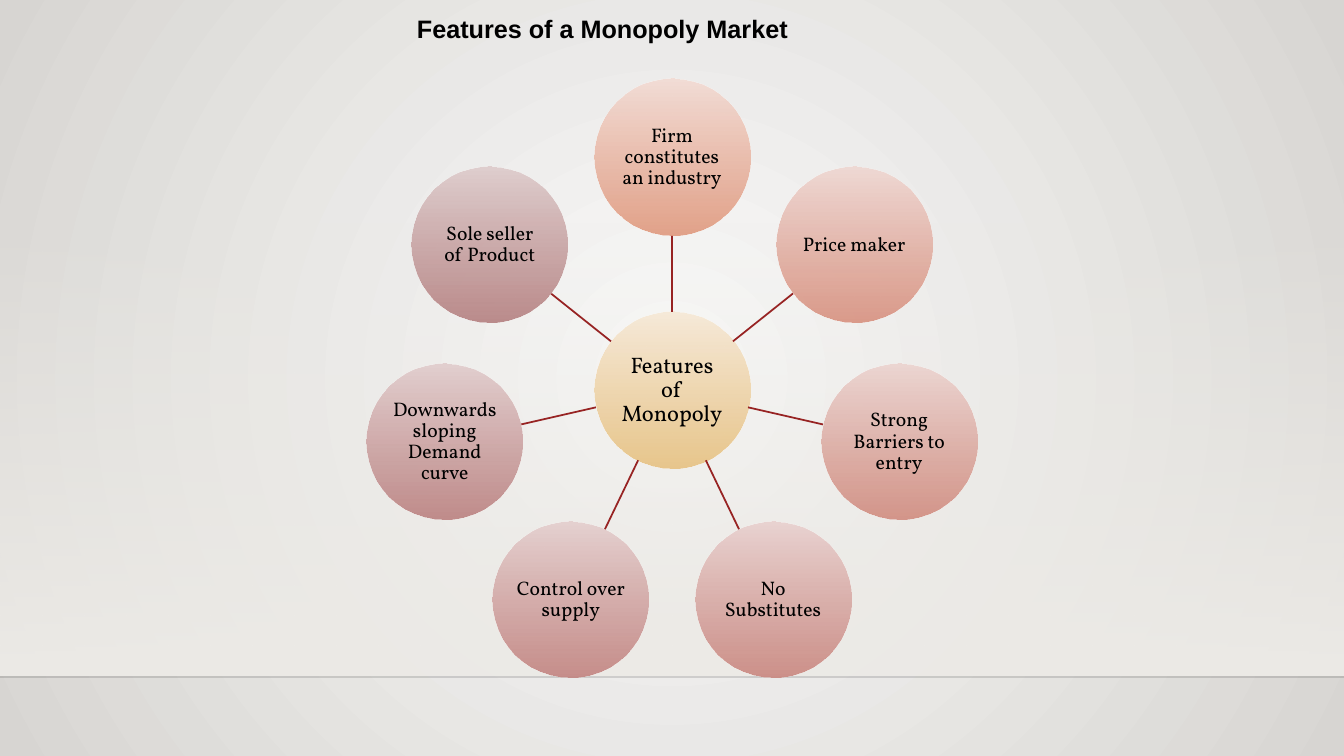
from math import cos, pi, sin

from lxml.etree import SubElement
from pptx import Presentation
from pptx.dml.color import RGBColor
from pptx.enum.shapes import MSO_CONNECTOR, MSO_SHAPE
from pptx.enum.text import MSO_ANCHOR, PP_ALIGN
from pptx.oxml.ns import qn
from pptx.util import Emu, Pt

SCALE = 914400 / 100.8
WIDE, HIGH = 1344, 756
MID_X, MID_Y = 672, 390
ORBIT, DISC = 233, 156
NODES = [
    ("Firm constitutes an industry", "F3DDD6", "E19C82"),
    ("Price maker", "EFD9D4", "D99483"),
    ("Strong Barriers to entry", "ECD6D2", "D28F83"),
    ("No Substitutes", "E9D3D1", "CB8A83"),
    ("Control over supply", "E5D1D0", "C48784"),
    ("Downwards sloping Demand curve", "E2CFCF", "BD8584"),
    ("Sole seller of Product", "DFCECE", "B78484"),
]


def px(*vals):
    return [Emu(round(val * SCALE)) for val in vals]


def color(code):
    return RGBColor.from_string(code)


def apply(item, form):
    for key, val in form.items():
        setattr(item, key, val)


def fade(root, *alphas):
    for node, alpha in zip(root.iter(qn("a:srgbClr")), alphas):
        SubElement(node, qn("a:alpha"), val=str(alpha * 1000))


def blend(fill, top, end):
    fill.gradient()
    for stop, code in zip(fill.gradient_stops, (top, end)):
        stop.color.rgb = color(code)


def set_back(slide):
    blend(slide.background.fill, "FAFAF9", "D7D5D2")
    grad = next(slide._element.iter(qn("a:gradFill")))
    grad.remove(grad.find(qn("a:lin")))
    ring = SubElement(grad, qn("a:path"), path="circle")
    SubElement(ring, qn("a:fillToRect"), l="50000", t="50000", r="50000", b="50000")


def add_form(slide, kind, box, top, end, alphas):
    shape = slide.shapes.add_shape(kind, *px(*box))
    shape.shadow.inherit = False
    shape.line.fill.background()
    blend(shape.fill, top, end)
    shape.fill.gradient_angle = 270
    fade(shape._element.spPr, *alphas)
    return shape


def add_line(slide, ends, code, width, alpha=100):
    line = slide.shapes.add_connector(MSO_CONNECTOR.STRAIGHT, *px(*ends))
    line.line.width = Pt(width)
    line.line.color.rgb = color(code)
    props = line._element.spPr
    if alpha < 100:
        fade(props, alpha)
    SubElement(props, qn("a:effectLst"))


def set_text(frame, text, font, form, layout):
    apply(frame, form)
    para = frame.paragraphs[0]
    apply(para, layout)
    run = para.add_run()
    run.text = text
    apply(run.font, font)
    run.font.color.rgb = color("000000")


def add_disc(slide, x, y, text, top, end, size):
    box = (x - DISC / 2, y - DISC / 2, DISC, DISC)
    disc = add_form(slide, MSO_SHAPE.OVAL, box, top, end, (100, 92))
    form = {"word_wrap": True, "vertical_anchor": MSO_ANCHOR.MIDDLE}
    for side in ("left", "right", "top", "bottom"):
        form["margin_" + side] = px(1)[0]
    layout = {"alignment": PP_ALIGN.CENTER, "line_spacing": 0.9}
    set_text(disc.text_frame, text, {"name": "Vollkorn", "size": Pt(size)}, form, layout)


def add_title(slide, text):
    box = slide.shapes.add_textbox(*px(407, 8, 395, 72))
    font = {"name": "Arial", "size": Pt(18), "bold": True}
    set_text(box.text_frame, text, font, {"word_wrap": False}, {})


def add_wheel(slide):
    add_disc(slide, MID_X, MID_Y, "Features of Monopoly", "F6EAD9", "E8C385", 16)
    for step, (text, top, end) in enumerate(NODES):
        turn = 2 * pi * step / len(NODES)
        dx, dy = sin(turn), -cos(turn)
        ends = []
        for reach in (DISC / 2, ORBIT - DISC / 2):
            ends += [MID_X + reach * dx, MID_Y + reach * dy]
        add_line(slide, ends, "972323", 1.25)
        add_disc(slide, MID_X + ORBIT * dx, MID_Y + ORBIT * dy, text, top, end, 14)


def main():
    deck = Presentation()
    deck.slide_width, deck.slide_height = px(WIDE, HIGH)
    slide = deck.slides.add_slide(deck.slide_layouts[6])
    set_back(slide)
    add_form(slide, MSO_SHAPE.RECTANGLE, (0, 222, WIDE, 454), "EDEBE7", "EDEBE7", (0, 100))
    add_line(slide, (0, 677, WIDE, 677), "000001", 1, 20)
    add_title(slide, "Features of a Monopoly Market")
    add_wheel(slide)
    deck.save("out.pptx")


if __name__ == "__main__":
    main()
